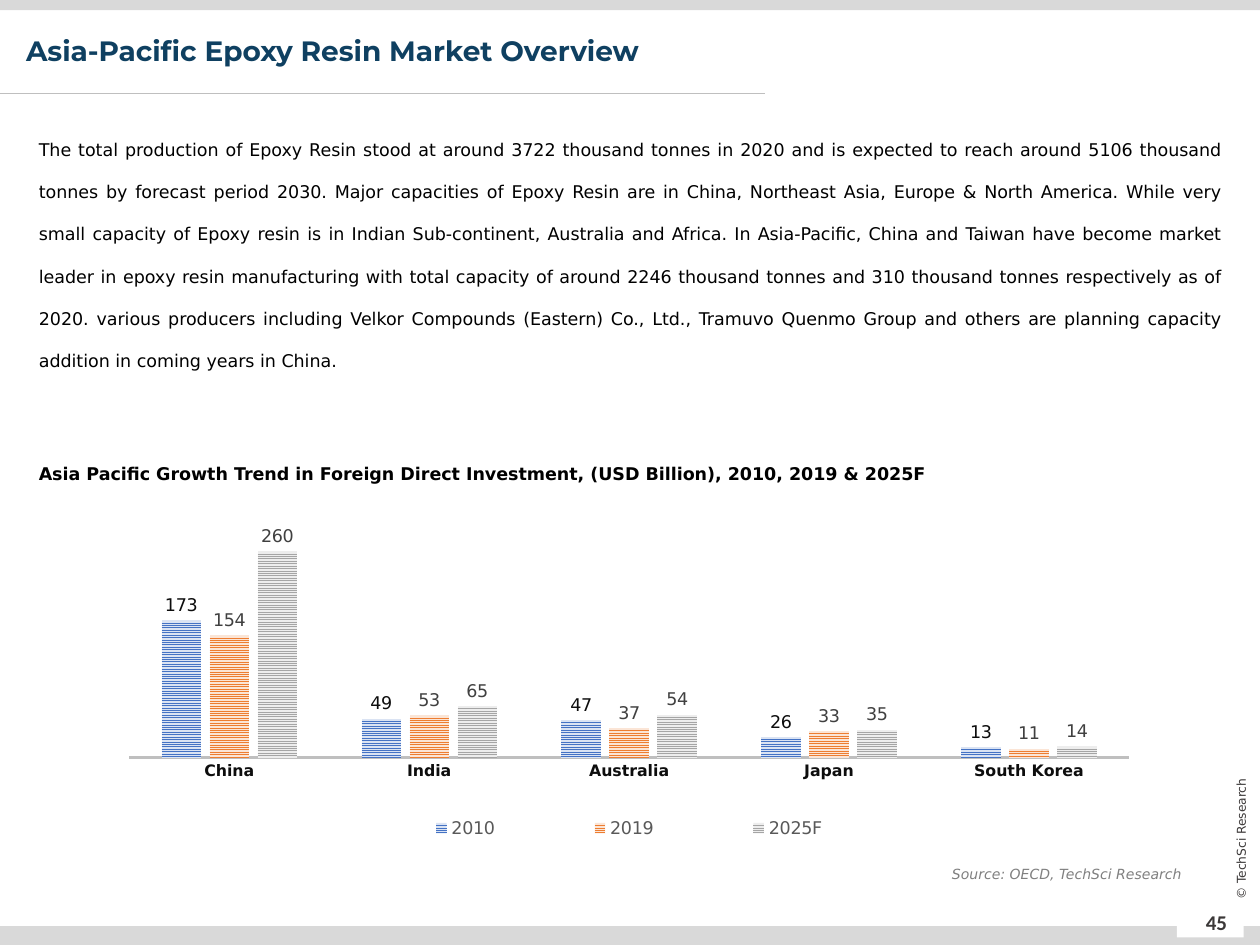
import pptx
import pptx.util
import pptx.chart.data
import pptx.dml.color
import pptx.enum.chart
import pptx.enum.dml
import pptx.enum.shapes
import pptx.enum.text
import pptx.oxml
import pptx.oxml.ns
from pptx.util import Inches

COLORS = {
    "band": "D9D9D9", "white": "FFFFFF", "rule": "BFBFBF", "footer": "3B3838",
    "title": "0F4061", "black": "000000", "source": "808080",
    "dark": "0D0D0D", "label": "404040", "legend": "595959",
    "blue": "4472C4", "pale_blue": "DAE3F3",
    "orange": "ED7D31", "pale_orange": "FBE5D6",
    "gray": "A5A5A5", "pale_gray": "EDEDED",
}
ALIGN = pptx.enum.text.PP_ALIGN
ANCHOR = pptx.enum.text.MSO_ANCHOR

OVERVIEW = (
    "The total production of Epoxy Resin stood at around 3722 thousand tonnes in 2020 "
    "and is expected to reach around 5106 thousand tonnes by forecast period 2030. "
    "Major capacities of Epoxy Resin are in China, Northeast Asia, Europe & North America. "
    "While very small capacity of Epoxy resin is in Indian Sub-continent, Australia and Africa. "
    "In Asia-Pacific, China and Taiwan have become market leader in epoxy resin manufacturing "
    "with total capacity of around 2246 thousand tonnes and 310 thousand tonnes respectively "
    "as of 2020. various producers including Velkor Compounds (Eastern) Co., Ltd., "
    "Tramuvo Quenmo Group and others are planning capacity addition in coming years in China."
)
COUNTRIES = ["China", "India", "Australia", "Japan", "South Korea"]
# name, values, stripe colour, ground colour, label colour
SERIES = [
    ("2010", [173, 49, 47, 26, 13], "blue", "pale_blue", "dark"),
    ("2019", [154, 53, 37, 33, 11], "orange", "pale_orange", "label"),
    ("2025F", [260, 65, 54, 35, 14], "gray", "pale_gray", "label"),
]


def rgb(name):
    return pptx.dml.color.RGBColor.from_string(COLORS[name])


class SlideBuilder:
    def __init__(self, prs, font="DejaVu Sans"):
        self.font = font
        self.slide = prs.slides.add_slide(prs.slide_layouts[6])

    def set_font(self, font, size, color, **formats):
        values = {"name": self.font, "size": pptx.util.Pt(size), **formats}
        for key, value in values.items():
            setattr(font, key, value)
        font.color.rgb = rgb(color)

    def rect(self, x, y, w, h, color):
        sp = self.slide.shapes.add_shape(
            pptx.enum.shapes.MSO_SHAPE.RECTANGLE,
            Inches(x), Inches(y), Inches(w), Inches(h))
        sp.shadow.inherit = False
        sp.fill.solid()
        sp.fill.fore_color.rgb = rgb(color)
        sp.line.fill.background()

    def line(self, x1, y1, x2, y2, color, width):
        ln = self.slide.shapes.add_connector(
            pptx.enum.shapes.MSO_CONNECTOR.STRAIGHT,
            Inches(x1), Inches(y1), Inches(x2), Inches(y2))
        ln.line.color.rgb = rgb(color)
        ln.line.width = pptx.util.Pt(width)
        ln._element.spPr.append(pptx.oxml.parse_xml(
            "<a:effectLst %s/>" % pptx.oxml.ns.nsdecls("a")))

    def text(self, x, y, w, h, text, size, color, align=ALIGN.LEFT,
             anchor=ANCHOR.TOP, spacing=1.0, rotation=0, **formats):
        sp = self.slide.shapes.add_textbox(Inches(x), Inches(y), Inches(w), Inches(h))
        sp.rotation = rotation
        tf = sp.text_frame
        tf.word_wrap = True
        tf.vertical_anchor = anchor
        p = tf.paragraphs[0]
        p.alignment = align
        p.line_spacing = spacing
        r = p.add_run()
        r.text = text
        self.set_font(r.font, size, color, **formats)

    def layout(self, parent, index, x, y, w, h, target=""):
        """Place a chart part by fractions of the chart area."""
        for old in parent.findall(pptx.oxml.ns.qn("c:layout")):
            parent.remove(old)
        sizes = "".join('<c:%s val="%s"/>' % pair
                        for pair in zip("xywh", (x, y, w, h)))
        parent.insert(index, pptx.oxml.parse_xml(
            "<c:layout %s><c:manualLayout>%s"
            '<c:xMode val="edge"/><c:yMode val="edge"/>%s'
            "</c:manualLayout></c:layout>"
            % (pptx.oxml.ns.nsdecls("c"), target, sizes)))

    def column_chart(self, x, y, w, h, categories, series):
        data = pptx.chart.data.CategoryChartData(number_format="0")
        data.categories = categories
        for name, values, *_ in series:
            data.add_series(name, values)
        chart = self.slide.shapes.add_chart(
            pptx.enum.chart.XL_CHART_TYPE.COLUMN_CLUSTERED,
            Inches(x), Inches(y), Inches(w), Inches(h), data).chart
        chart.has_title = False
        self.set_font(chart.font, 10, "black", name="Calibri")

        # Axes
        axis = chart.category_axis
        axis.major_tick_mark = pptx.enum.chart.XL_TICK_MARK.NONE
        axis.format.line.color.rgb = rgb("rule")
        axis.format.line.width = pptx.util.Pt(1.5)
        self.set_font(axis.tick_labels.font, 9, "dark", bold=True)
        axis = chart.value_axis
        axis.minimum_scale, axis.maximum_scale = 0, 300
        axis.has_major_gridlines = False
        axis.visible = False

        # Striped columns and their labels
        plot = chart.plots[0]
        plot.gap_width, plot.overlap = 164, -22
        plot.vary_by_categories = False
        for ser, (_, _, stripe, ground, label) in zip(plot.series, series):
            fill = ser.format.fill
            fill.patterned()
            fill.pattern = pptx.enum.dml.MSO_PATTERN.NARROW_HORIZONTAL
            fill.fore_color.rgb = rgb(stripe)
            fill.back_color.rgb = rgb(ground)
            labels = ser.data_labels
            labels.show_value = True
            labels.number_format = "0"
            labels.number_format_is_linked = False
            labels.position = pptx.enum.chart.XL_LABEL_POSITION.OUTSIDE_END
            self.set_font(labels.font, 10, label)

        # Legend and plot position
        chart.has_legend = True
        legend = chart.legend
        legend.position = pptx.enum.chart.XL_LEGEND_POSITION.RIGHT
        legend.include_in_layout = False
        self.set_font(legend.font, 10, "legend")
        self.layout(legend._element, 1, 0.26, 0.87, 0.54, 0.1)
        self.layout(chart._chartSpace.chart.plotArea, 0, 0.06, 0.09, 0.94, 0.64,
                    '<c:layoutTarget val="inner"/>')


def main():
    prs = pptx.Presentation()
    prs.slide_width, prs.slide_height = Inches(10), Inches(7.5)
    s = SlideBuilder(prs)

    # Frame and footer
    s.rect(0, 0, 10.02, 0.08, "band")
    s.rect(9.56, 7.13, 0.35, 0.38, "white")
    s.line(0, 0.74, 6.07, 0.74, "rule", 0.5)
    s.rect(0, 7.35, 10, 0.15, "band")
    s.rect(9.34, 7.22, 0.53, 0.22, "white")
    s.text(9.41, 7.12, 0.49, 0.4, "45", 12, "footer", ALIGN.CENTER, ANCHOR.MIDDLE,
           name="Calibri", bold=True)
    s.text(9.25, 6.58, 1.2, 0.16, "© TechSci Research", 7, "footer",
           ALIGN.CENTER, ANCHOR.MIDDLE, rotation=270)

    # Title and overview
    s.text(0.11, 0.25, 6.68, 0.5, "Asia-Pacific Epoxy Resin Market Overview",
           16, "title", spacing=0.9, name="Montserrat", bold=True)
    s.text(0.21, 0.89, 9.58, 2.07, OVERVIEW, 10, "black", ALIGN.JUSTIFY, spacing=2.0)

    # Investment chart
    s.text(0.21, 3.54, 8.76, 0.32,
           "Asia Pacific Growth Trend in Foreign Direct Investment, "
           "(USD Billion), 2010, 2019 & 2025F", 10, "black", spacing=1.5, bold=True)
    s.column_chart(0.52, 3.86, 8.45, 2.95, COUNTRIES, SERIES)
    s.text(6.8, 6.82, 2.68, 0.24, "Source: OECD, TechSci Research", 8, "source",
           ALIGN.RIGHT, italic=True)

    prs.save("out.pptx")


if __name__ == "__main__":
    main()
